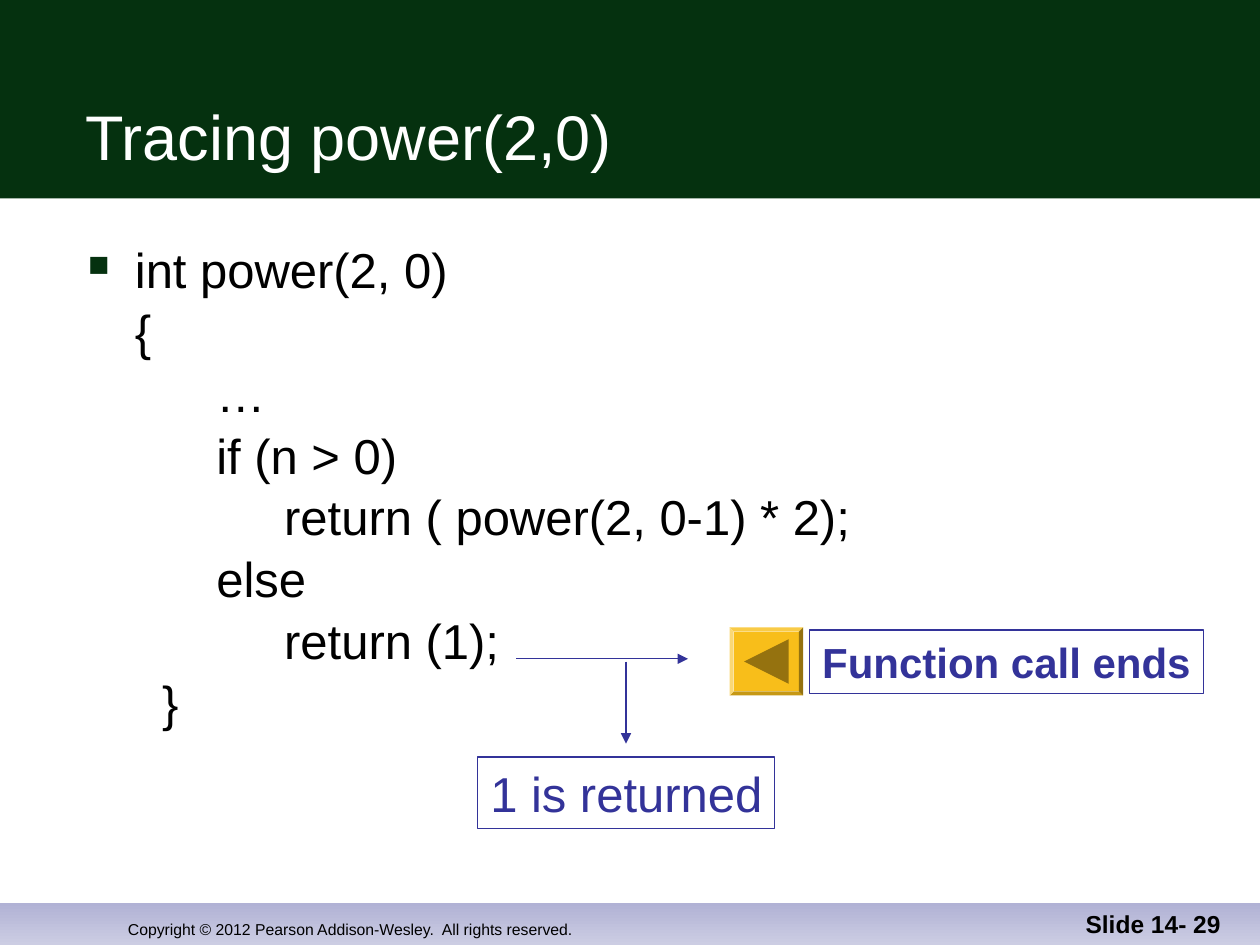
from dataclasses import dataclass

from lxml.etree import SubElement
from pptx import Presentation
from pptx.dml.color import RGBColor
from pptx.enum.shapes import MSO_CONNECTOR, MSO_SHAPE
from pptx.enum.text import MSO_ANCHOR, MSO_AUTO_SIZE, PP_ALIGN
from pptx.oxml.ns import qn
from pptx.util import Cm, Pt


@dataclass(frozen=True)
class Theme:
    font: str = "Arial"
    green: str = "05310F"
    indigo: str = "333399"
    gold: str = "F8BE1A"
    dark_gold: str = "95720F"
    black: str = "000000"
    white: str = "FFFFFF"
    footer_top: str = "B1B2D5"
    footer_bottom: str = "CCCDE3"
    title_size: int = 36
    code_size: int = 28
    label_size: int = 24
    number_size: int = 14
    copyright_size: int = 9
    line_width: float = 0.75


class SlideBuilder:
    def __init__(self, slide, theme):
        self.slide = slide
        self.theme = theme

    def block(self, kind, box, color):
        shape = self.slide.shapes.add_shape(kind, *map(Cm, box))
        shape.shadow.inherit = False
        shape.line.fill.background()
        shape.fill.solid()
        shape.fill.fore_color.rgb = RGBColor.from_string(color)
        return shape

    def gradient_band(self, box, colors):
        fill = self.block(MSO_SHAPE.RECTANGLE, box, colors[0]).fill
        fill.gradient()
        fill.gradient_angle = 270
        for stop, color in zip(fill.gradient_stops, colors):
            stop.color.rgb = RGBColor.from_string(color)

    def text(self, box, lines, size, color, bold=False,
             align=PP_ALIGN.LEFT, anchor=MSO_ANCHOR.BOTTOM):
        shape = self.slide.shapes.add_textbox(*map(Cm, box))
        frame = shape.text_frame
        frame.word_wrap = True
        frame.vertical_anchor = anchor
        paragraph = frame.paragraphs[0]
        paragraph.alignment = align
        for index, line in enumerate(lines):
            if index:
                paragraph.add_line_break()
            run = paragraph.add_run()
            run.text = line
            run.font.name = self.theme.font
            run.font.size = Pt(size)
            run.font.bold = bold
            run.font.color.rgb = RGBColor.from_string(color)
        return shape

    def code(self, box, lines):
        theme = self.theme
        shape = self.text(box, lines, theme.code_size, theme.black, anchor=MSO_ANCHOR.TOP)
        shape.text_frame.margin_right = 0
        paragraph = shape.text_frame.paragraphs[0]
        properties = paragraph._p.get_or_add_pPr()
        properties.set("marL", str(Cm(0.95)))
        properties.set("indent", str(-Cm(0.95)))
        bullet_color = SubElement(properties, qn("a:buClr"))
        SubElement(bullet_color, qn("a:srgbClr"), val=theme.green)
        SubElement(properties, qn("a:buSzPct"), val="60000")
        SubElement(properties, qn("a:buChar"), char="■")
        paragraph.line_spacing = 1.05
        paragraph.font.size = Pt(theme.code_size)

    def label(self, box, line, size, bold=False):
        shape = self.text(box, [line], size, self.theme.indigo, bold,
                          PP_ALIGN.CENTER, MSO_ANCHOR.MIDDLE)
        shape.text_frame.word_wrap = False
        shape.text_frame.auto_size = MSO_AUTO_SIZE.SHAPE_TO_FIT_TEXT
        self.outline(shape.line)

    def outline(self, line):
        line.color.rgb = RGBColor.from_string(self.theme.indigo)
        line.width = Pt(self.theme.line_width)

    def arrow(self, start, end):
        connector = self.slide.shapes.add_connector(
            MSO_CONNECTOR.STRAIGHT, *map(Cm, start + end))
        self.outline(connector.line)
        SubElement(connector.line._get_or_add_ln(), qn("a:tailEnd"), type="triangle")
        SubElement(connector._element.spPr, qn("a:effectLst"))

    def back_button(self, box):
        left, top, width, height = box
        button = self.block(MSO_SHAPE.BEVEL, box, self.theme.gold)
        button.adjustments[0] = 0.06
        side = 0.9
        triangle_box = (left + (width - side) / 2, top + (height - side) / 2, side, side)
        triangle = self.block(MSO_SHAPE.ISOSCELES_TRIANGLE, triangle_box, self.theme.dark_gold)
        triangle.rotation = 270


def main():
    presentation = Presentation()
    presentation.slide_width = Cm(25.4)
    presentation.slide_height = Cm(19.05)
    slide = presentation.slides.add_slide(presentation.slide_layouts[6])
    theme = Theme()
    builder = SlideBuilder(slide, theme)

    builder.gradient_band((0, 18.21, 25.4, 0.84), (theme.footer_top, theme.footer_bottom))
    builder.block(MSO_SHAPE.RECTANGLE, (0, 0, 25.4, 4), theme.green)
    builder.text((2.33, 17.78, 12.5, 1.27),
                 ["Copyright © 2012 Pearson Addison-Wesley.  All rights reserved."],
                 theme.copyright_size, theme.black)
    builder.text((1.48, 0.84, 23.06, 2.77), ["Tracing power(2,0)"],
                 theme.title_size, theme.white)
    builder.code((1.52, 4.65, 23.04, 12.7), [
        "int power(2, 0)",
        "{",
        "      …",
        "      if (n > 0)",
        "           return ( power(2, 0-1) * 2);",
        "      else",
        "           return (1);",
        "  }",
    ])
    builder.text((19.58, 17.78, 5.28, 1.27), ["Slide 14- 29"],
                 theme.number_size, theme.black, True, PP_ALIGN.RIGHT)
    builder.arrow((10.41, 13.28), (13.87, 13.28))
    builder.label((16.32, 12.7, 7.94, 1.28), "Function call ends", theme.label_size, True)
    builder.back_button((14.71, 12.65, 1.48, 1.37))
    builder.arrow((12.62, 13.34), (12.62, 14.99))
    builder.label((9.63, 15.26, 5.99, 1.45), "1 is returned", theme.code_size)

    presentation.save("out.pptx")


if __name__ == "__main__":
    main()
